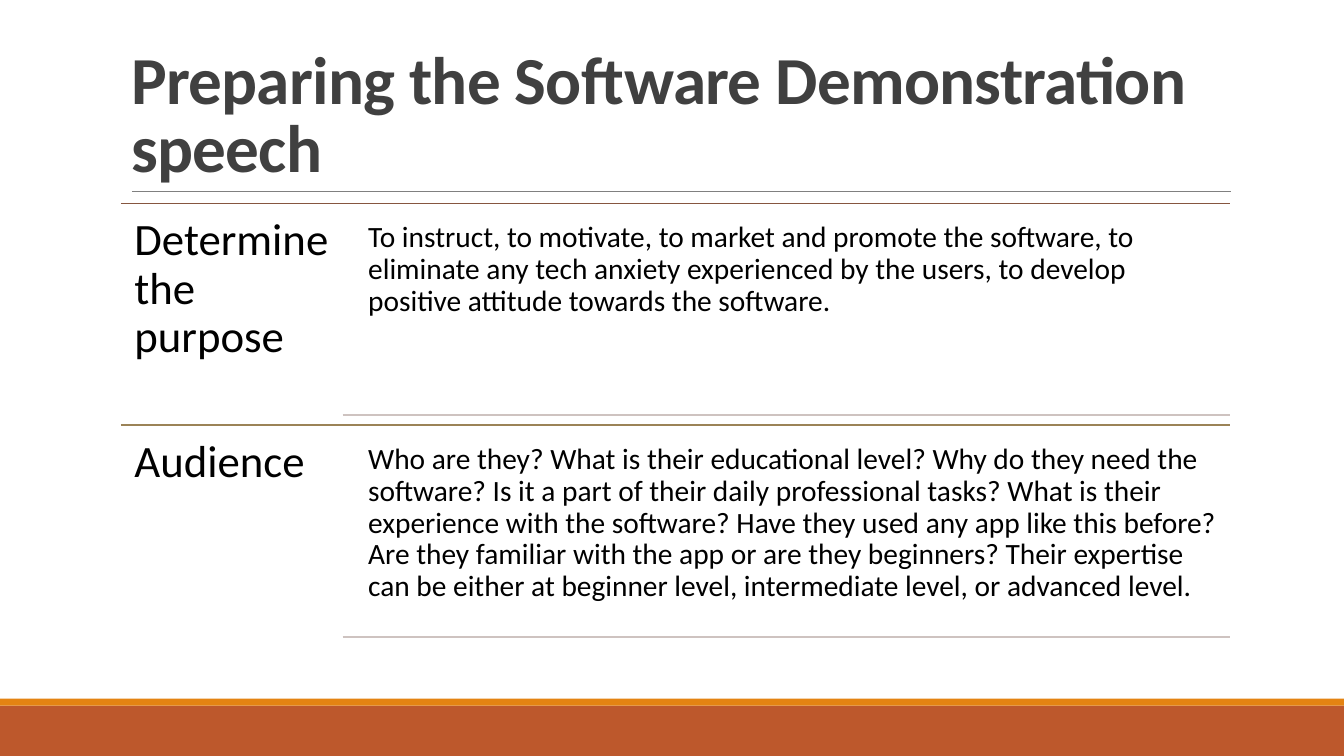
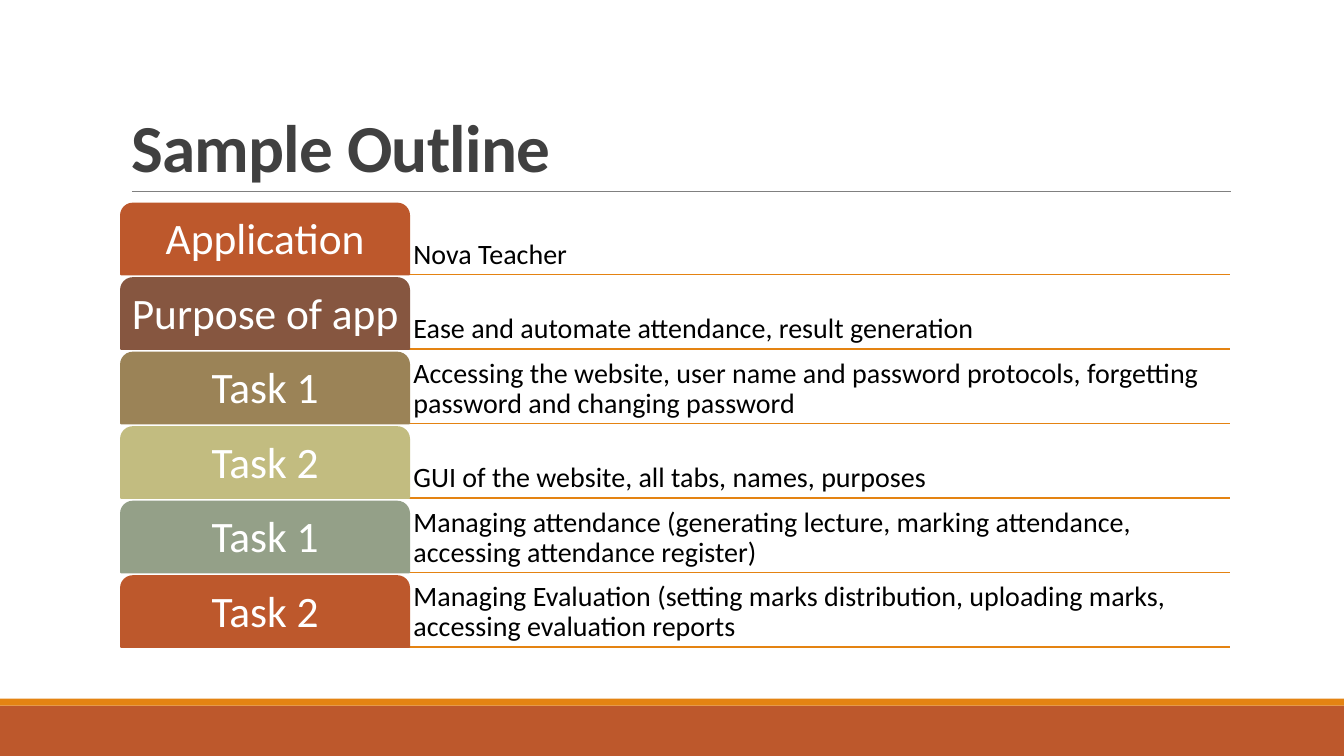
from collections import namedtuple

from lxml import etree
from pptx import Presentation
from pptx.dml.color import RGBColor
from pptx.enum import shapes, text
from pptx.oxml.ns import qn
from pptx.util import Pt

FONT = "Calibri"
BLACK, WHITE, TITLE_GRAY, RULE_GRAY = "000000", "FFFFFF", "404040", "808080"
RUST, ORANGE, BROWN, TAN = "BD582C", "E48312", "865640", "9B8357"
OLIVE, SAGE, PALE = "C2BC80", "94A088", "CEC3C0"

Box = namedtuple("Box", "left top width height")
PAGE = Box(0, 0, 960, 540)
TITLE = Box(86.4, 22.3, 792, 114.5)
BODY = Box(86.4, 145.4, 792, 316.8)

TOPICS = [
    ("Determine the purpose", BROWN,
     "To instruct, to motivate, to market and promote the software, to eliminate any "
     "tech anxiety experienced by the users, to develop positive attitude towards the "
     "software."),
    ("Audience", TAN,
     "Who are they? What is their educational level? Why do they need the software? "
     "Is it a part of their daily professional tasks? What is their experience with the "
     "software? Have they used any app like this before? Are they familiar with the app "
     "or are they beginners? Their expertise can be either at beginner level, "
     "intermediate level, or advanced level."),
]
OUTLINE = [
    ("Application", RUST, "Nova Teacher"),
    ("Purpose of app", BROWN, "Ease and automate attendance, result generation"),
    ("Task 1", TAN, "Accessing the website, user name and password protocols, "
                    "forgetting password and changing password"),
    ("Task 2", OLIVE, "GUI of the website, all tabs, names, purposes"),
    ("Task 1", SAGE, "Managing attendance (generating lecture, marking attendance, "
                     "accessing attendance register)"),
    ("Task 2", RUST, "Managing Evaluation (setting marks distribution, uploading marks, "
                     "accessing evaluation reports"),
]


def rgb(color):
    return RGBColor.from_string(color)


def points(box):
    return [Pt(length) for length in box]


def write(shape, words, size, color=BLACK, inset=0, anchor=text.MSO_ANCHOR.TOP,
          align=text.PP_ALIGN.LEFT, spacing=0.9, bold=False):
    frame = shape.text_frame
    frame.word_wrap = True
    frame.auto_size = text.MSO_AUTO_SIZE.NONE
    frame.vertical_anchor = anchor
    frame.margin_left = frame.margin_right = Pt(inset)
    frame.margin_top = frame.margin_bottom = Pt(inset)
    frame.text = words
    paragraph = frame.paragraphs[0]
    paragraph.alignment = align
    paragraph.line_spacing = spacing
    font = paragraph.font
    font.name, font.size, font.bold = FONT, Pt(size), bold
    font.color.rgb = rgb(color)


def add_text(slide, box, words, size, **style):
    write(slide.shapes.add_textbox(*points(box)), words, size, **style)


def add_filled(slide, kind, box, color):
    shape = slide.shapes.add_shape(kind, *points(box))
    shape.shadow.inherit = False
    shape.fill.solid()
    shape.fill.fore_color.rgb = rgb(color)
    shape.line.fill.background()
    return shape


def add_rule(slide, left, right, y, color, weight=1.25):
    rule = slide.shapes.add_connector(
        shapes.MSO_CONNECTOR.STRAIGHT, Pt(left), Pt(y), Pt(right), Pt(y))
    rule.line.color.rgb = rgb(color)
    rule.line.width = Pt(weight)
    etree.SubElement(rule._element.spPr, qn("a:effectLst"))


def add_titled_slide(deck, heading):
    """Add a slide with the shared bands, title and rule below it."""
    slide = deck.slides.add_slide(deck.slide_layouts.get_by_name("Title Only"))
    for top, height, color in ((504, 36, RUST), (499, 5, ORANGE)):
        add_filled(slide, shapes.MSO_SHAPE.RECTANGLE,
                   Box(0, top, PAGE.width, height), color)
    add_rule(slide, 94.3, 879.1, TITLE.top + TITLE.height, RULE_GRAY, 0.5)

    title = slide.shapes.title
    title.left, title.top, title.width, title.height = points(TITLE)
    write(title, heading, 48, TITLE_GRAY, inset=7.2,
          anchor=text.MSO_ANCHOR.BOTTOM, spacing=0.85, bold=True)
    title.text_frame.margin_top = title.text_frame.margin_bottom = Pt(3.6)
    title.text_frame.paragraphs[0].runs[0]._r.get_or_add_rPr().set("spc", "-50")
    return slide


def split_rows(box, count, gap_ratio=0):
    """Stack equal rows; each gap is gap_ratio of a row's height."""
    height = box.height / (count + (count - 1) * gap_ratio)
    step = height * (1 + gap_ratio)
    return [Box(box.left, box.top + i * step, box.width, height) for i in range(count)]


def add_topic(slide, row, name, color, details):
    right = row.left + row.width
    name_width = row.width * 0.2
    pad = row.height / 22
    details_left = row.left + name_width + 11.9
    add_rule(slide, row.left, right, row.top, color)
    add_text(slide, row._replace(width=name_width), name, 32, inset=9.6)
    add_text(slide, Box(details_left, row.top + pad, right - details_left,
                        row.height - 2 * pad), details, 21, inset=6.3)
    add_rule(slide, row.left + name_width, right, row.top + row.height - pad, PALE)


def add_outline_item(slide, row, name, color, details):
    right = row.left + row.width
    tab_width = row.width * 0.26
    add_rule(slide, row.left, right, row.top + row.height, ORANGE)
    add_text(slide, Box(row.left + tab_width, row.top, row.width - tab_width, row.height),
             details, 20, inset=3, anchor=text.MSO_ANCHOR.BOTTOM)
    tab = add_filled(slide, shapes.MSO_SHAPE.ROUND_2_SAME_RECTANGLE,
                     row._replace(width=tab_width), color)
    tab.line.color.rgb = rgb(color)
    tab.line.width = Pt(1.25)
    write(tab, name, 31, WHITE, inset=4.5, anchor=text.MSO_ANCHOR.MIDDLE,
          align=text.PP_ALIGN.CENTER)


def main():
    deck = Presentation()
    deck.slide_width, deck.slide_height = Pt(PAGE.width), Pt(PAGE.height)

    preparing = add_titled_slide(deck, "Preparing the Software Demonstration speech")
    for row, topic in zip(split_rows(BODY, len(TOPICS)), TOPICS):
        add_topic(preparing, row, *topic)

    outline = add_titled_slide(deck, "Sample Outline")
    for row, item in zip(split_rows(BODY, len(OUTLINE), 0.05), OUTLINE):
        add_outline_item(outline, row, *item)

    deck.save("out.pptx")


if __name__ == "__main__":
    main()
